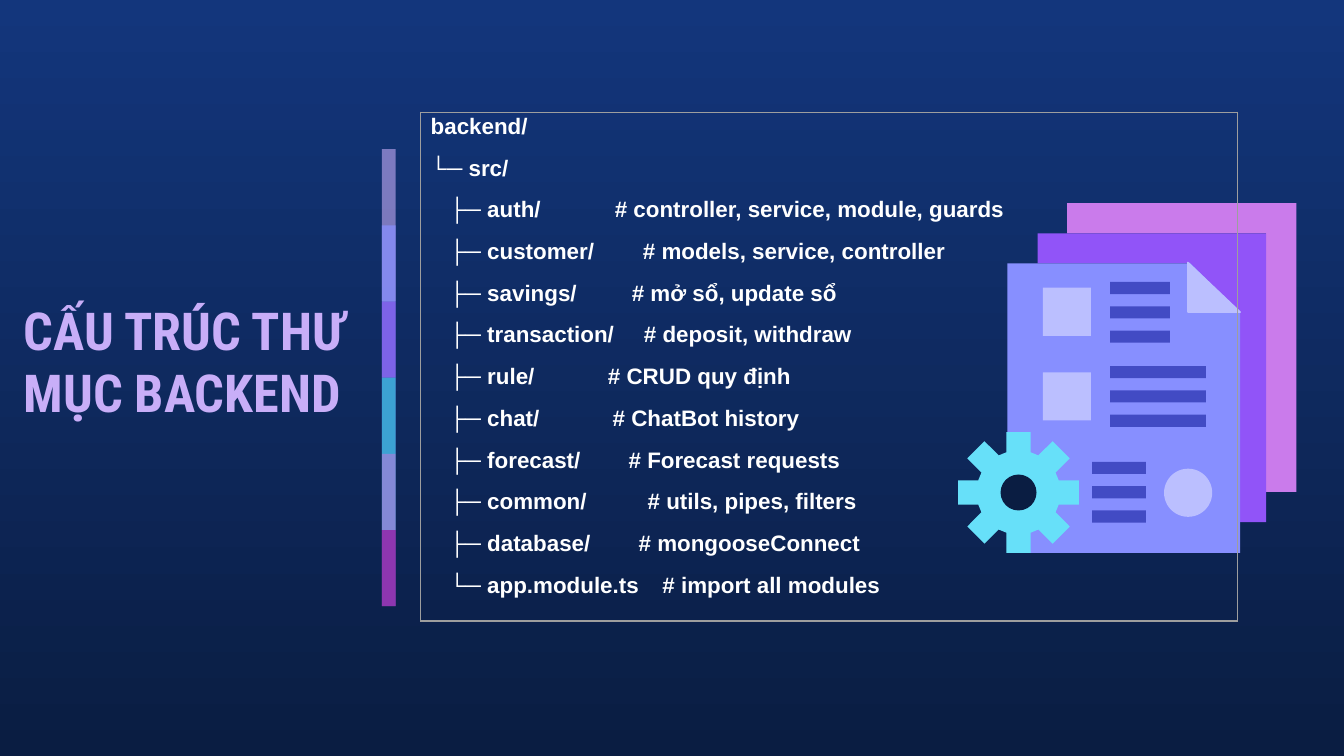
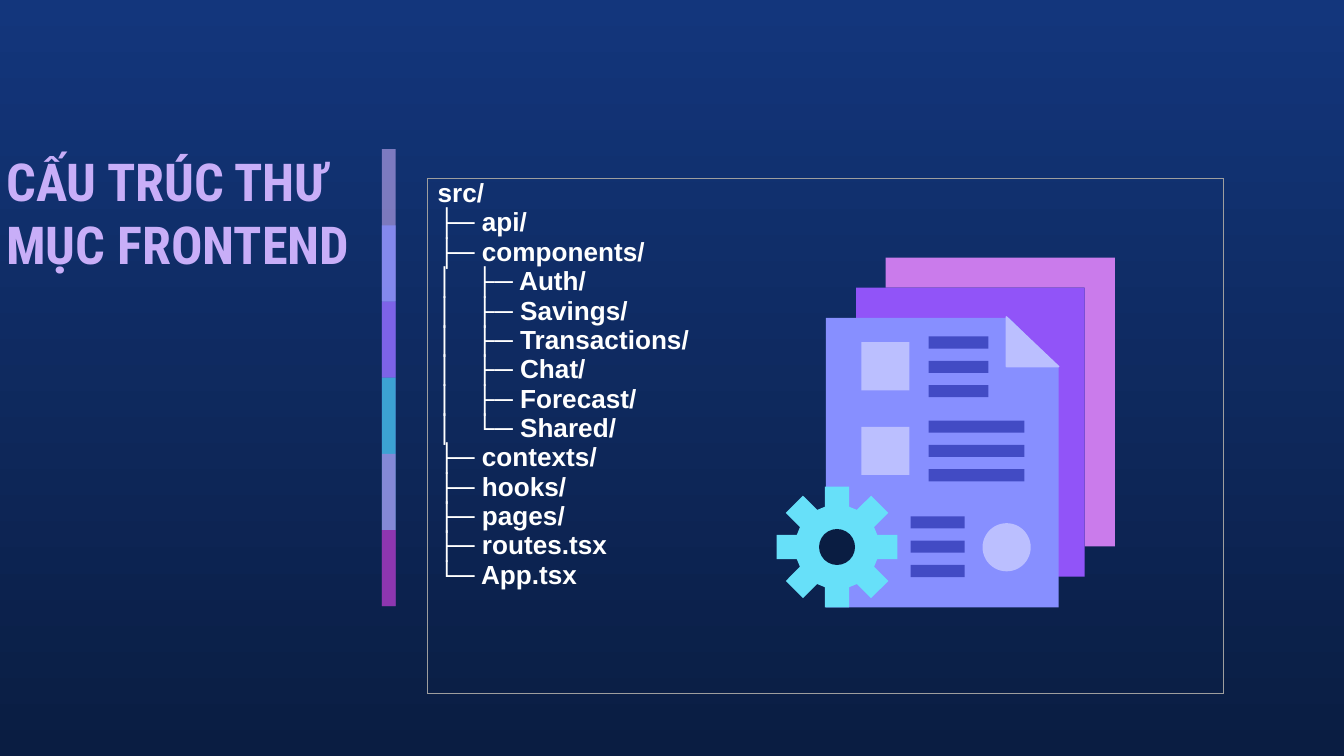
import math
from dataclasses import dataclass

import pptx
import pptx.dml.color
import pptx.enum.shapes
import pptx.enum.text
import pptx.oxml
import pptx.oxml.ns
import pptx.util
from lxml import etree

Cm = pptx.util.Cm
Pt = pptx.util.Pt
Kind = pptx.enum.shapes.MSO_SHAPE
Align = pptx.enum.text.PP_ALIGN


@dataclass(frozen=True)
class Theme:
    top: str = "13367C"
    navy: str = "0A1D42"
    lilac: str = "C8AEF8"
    pink: str = "CA7BEB"
    violet: str = "9154F8"
    blue: str = "878FFF"
    pale: str = "BBBFFF"
    ink: str = "424BC4"
    cyan: str = "67E0F9"
    teal: str = "35C2DF"
    plum: str = "972CB4"
    white: str = "FFFFFF"
    edge: str = "9E9E9E"
    head: str = "Roboto Condensed"
    body: str = "Arial"
    title: int = 28
    small: int = 12
    large: int = 14


def rgb(code):
    return pptx.dml.color.RGBColor.from_string(code)


def tag(parent, name, **attrs):
    return etree.SubElement(parent, pptx.oxml.ns.qn("a:" + name), **attrs)


class Deck:
    def __init__(self, theme):
        self.theme = theme
        self.file = pptx.Presentation()
        self.file.slide_width = Cm(25.4)
        self.file.slide_height = Cm(14.29)

    def page(self):
        self.slide = self.file.slides.add_slide(self.file.slide_layouts[6])
        fill = self.slide.background.fill
        fill.gradient()
        fill.gradient_angle = 270
        for stop, code in zip(fill.gradient_stops, (self.theme.top, self.theme.navy)):
            stop.color.rgb = rgb(code)

    def group(self, left=0, top=0):
        self.pen = self.slide.shapes.add_group_shape().shapes
        self.left, self.top = left, top

    def paint(self, shape, code, line=None):
        shape.shadow.inherit = False
        shape.fill.solid()
        shape.fill.fore_color.rgb = rgb(code)
        if line:
            shape.line.color.rgb = rgb(code)
            shape.line.width = Pt(line)
        else:
            shape.line.fill.background()

    def block(self, x, y, w, h, code, kind=Kind.RECTANGLE, alpha=None):
        shape = self.pen.add_shape(kind, Cm(self.left + x), Cm(self.top + y), Cm(w), Cm(h))
        self.paint(shape, code)
        if alpha:
            color = shape.fill._xPr.find(".//" + pptx.oxml.ns.qn("a:srgbClr"))
            tag(color, "alpha", val=str(alpha * 1000))

    def poly(self, points, code, line=None):
        spots = [(Cm(self.left + x), Cm(self.top + y)) for x, y in points]
        form = self.pen.build_freeform(*spots[0])
        form.add_line_segments(spots[1:])
        self.paint(form.convert_to_shape(), code, line)

    def style(self, para, face, size, code):
        for run in para.runs:
            run.font.name = face
            run.font.size = Pt(size)
            run.font.bold = True
            run.font.color.rgb = rgb(code)

    def title(self, x, y, text):
        frame = self.slide.shapes.add_textbox(Cm(x), Cm(y), Cm(7.29), Cm(2.44)).text_frame
        frame.word_wrap = True
        frame.margin_left = frame.margin_right = Cm(0.25)
        frame.margin_top = frame.margin_bottom = Cm(0.25)
        frame.text = text
        self.style(frame.paragraphs[0], self.theme.head, self.theme.title, self.theme.lilac)

    def strip(self):
        t = self.theme
        tints = [(t.lilac, 59), (t.blue, 74), (t.violet, 53),
                 (t.teal, 76), (t.pink, 56), (t.plum, 74)]
        step = 1.44
        self.group()
        for i, (code, alpha) in enumerate(tints):
            tall = step if i == len(tints) - 1 else 2 * step
            self.block(7.22, 2.82 + i * step, 0.26, tall, code, alpha=alpha)

    def gear(self, x, y):
        points = []
        for i in range(8):
            turn = i * math.pi / 4
            for a, b in ((-0.23, -0.76), (-0.23, -1.14), (0.23, -1.14), (0.23, -0.76)):
                points.append((x + a * math.cos(turn) - b * math.sin(turn),
                               y + a * math.sin(turn) + b * math.cos(turn)))
        self.poly(points, self.theme.cyan)
        self.block(x - 0.34, y - 0.34, 0.68, 0.68, self.theme.navy, Kind.OVAL)

    def papers(self, left, top):
        t = self.theme
        self.group(left, top)
        self.poly([(2.06, 0), (2.06, 0.57), (5.82, 0.57), (5.82, 5.46),
                   (6.39, 5.46), (6.39, 0)], t.pink)
        self.poly([(1.5, 0.57), (1.5, 1.14), (4.34, 1.14), (5.26, 2.06),
                   (5.26, 6.03), (5.82, 6.03), (5.82, 0.57)], t.violet)
        self.poly([(0.93, 1.14), (0.93, 6.61), (5.33, 6.61), (5.33, 2.08),
                   (4.39, 1.14)], t.blue)
        self.gear(1.14, 5.47)
        for y in (1.6, 3.2):
            self.block(1.6, y, 0.91, 0.91, t.pale)
        self.block(3.89, 5.02, 0.91, 0.91, t.pale, Kind.OVAL)
        for x, y, wide in ((2.87, 1.49, 1.13), (2.87, 3.08, 1.81), (2.53, 4.89, 1.02)):
            for i in range(3):
                self.block(x, y + i * 0.46, wide, 0.23, t.ink)
        self.poly([(4.34, 1.12), (4.34, 2.06), (5.33, 2.06)], t.pale, 0.75)

    def tree(self, x, y, w, h, lines, size, stops=None, gap=None, lead=None, align=None):
        shape = self.slide.shapes.add_table(1, 1, Cm(x), Cm(y), Cm(w), Cm(h))
        table = shape.table
        table.first_row = table.horz_banding = False
        cell = table.cell(0, 0)
        cell.margin_left = cell.margin_right = Cm(0.19)
        cell.margin_top = cell.margin_bottom = 0
        props = cell._tc.get_or_add_tcPr()
        for side in "LRTB":
            line = tag(props, "ln" + side, w=str(Pt(0.75)))
            tag(tag(line, "solidFill"), "srgbClr", val=self.theme.edge)
        cell.fill.background()
        cell.text_frame.text = "\n".join(lines)
        for i, para in enumerate(cell.text_frame.paragraphs):
            if stops and stops[i]:
                tabs = tag(para._p.get_or_add_pPr(), "tabLst")
                tag(tabs, "tab", pos=str(Cm(stops[i])), algn="l")
            if gap:
                para.space_after = Pt(gap)
            if lead:
                para.line_spacing = lead
            if align:
                para.alignment = align
            self.style(para, self.theme.body, size, self.theme.white)


BACK = [
    ("backend/", None),
    ("└─ src/", None),
    ("   ├─ auth/\t# controller, service, module, guards", 3.48),
    ("   ├─ customer/\t# models, service, controller", 4.01),
    ("   ├─ savings/\t# mở sổ, update sổ", 3.8),
    ("   ├─ transaction/\t# deposit, withdraw", 4.03),
    ("   ├─ rule/\t# CRUD quy định", 3.35),
    ("   ├─ chat/\t# ChatBot history", 3.44),
    ("   ├─ forecast/\t# Forecast requests", 3.74),
    ("   ├─ common/\t# utils, pipes, filters", 4.1),
    ("   ├─ database/\t# mongooseConnect", 3.93),
    ("   └─ app.module.ts\t# import all modules", 4.38),
]

FRONT = [
    "src/",
    "├─ api/",
    "├─ components/",
    "│   ├─ Auth/",
    "│   ├─ Savings/",
    "│   ├─ Transactions/",
    "│   ├─ Chat/",
    "│   ├─ Forecast/",
    "│   └─ Shared/",
    "├─ contexts/",
    "├─ hooks/",
    "├─ pages/",
    "├─ routes.tsx",
    "└─ App.tsx",
]


def main():
    theme = Theme()
    deck = Deck(theme)

    deck.page()
    deck.title(0.2, 5.38, "CẤU TRÚC THƯ MỤC BACKEND")
    deck.papers(18.11, 3.84)
    deck.strip()
    lines, stops = zip(*BACK)
    deck.tree(7.95, 2.12, 15.44, 9.5, lines, theme.small, stops, gap=8, lead=1.07)

    deck.page()
    deck.title(-0.13, 2.57, "CẤU TRÚC THƯ MỤC FRONTEND")
    deck.papers(14.68, 4.87)
    deck.strip()
    deck.tree(8.08, 3.38, 15.04, 9.73, FRONT, theme.large, align=Align.JUSTIFY)

    deck.file.save("out.pptx")


if __name__ == "__main__":
    main()
